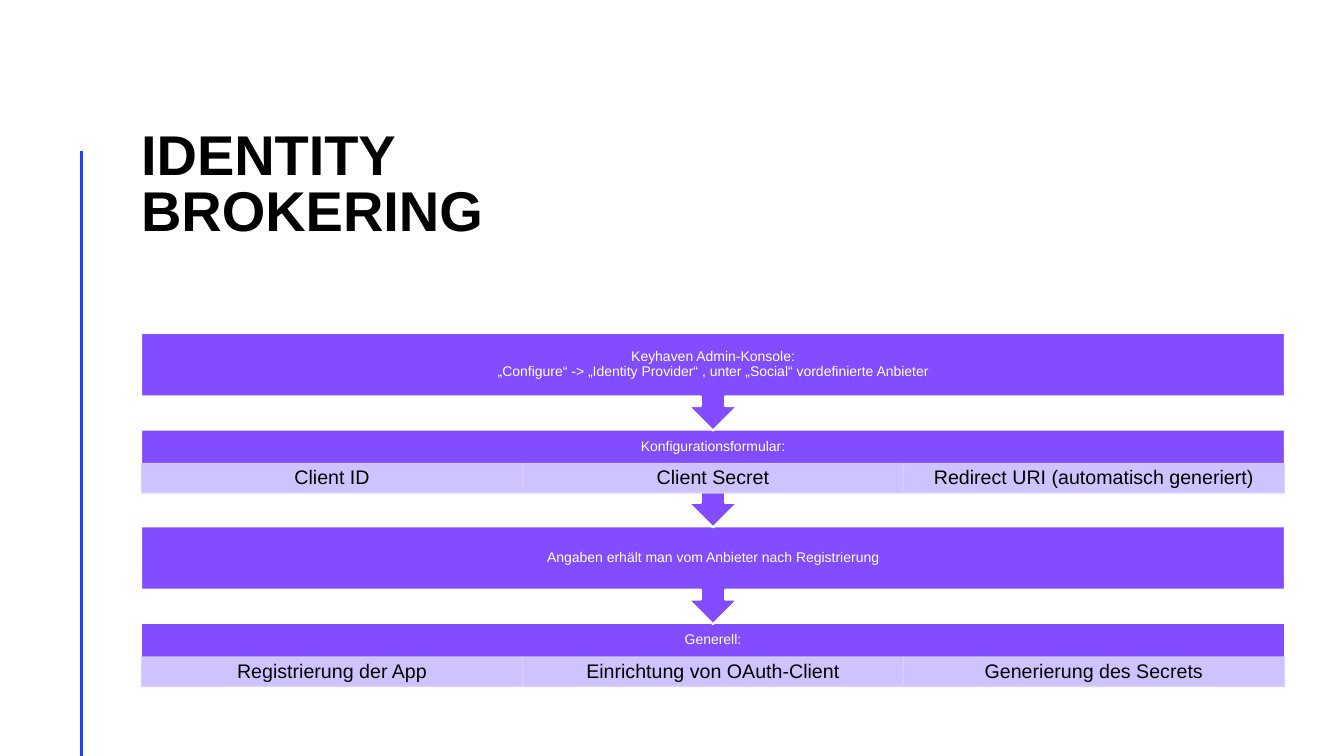
from lxml import etree
from pptx import Presentation
from pptx.dml.color import RGBColor
from pptx.enum.shapes import MSO_CONNECTOR, MSO_SHAPE
from pptx.enum.text import MSO_ANCHOR, PP_ALIGN
from pptx.oxml.ns import qn
from pptx.util import Pt

RECTANGLE = MSO_SHAPE.RECTANGLE
ARROW_CALLOUT = MSO_SHAPE.DOWN_ARROW_CALLOUT
STRAIGHT = MSO_CONNECTOR.STRAIGHT
MIDDLE = MSO_ANCHOR.MIDDLE
LEFT = PP_ALIGN.LEFT
CENTER = PP_ALIGN.CENTER

TITLE_ONLY = 5
PURPLE, LILAC, BLUE = "814DFF", "D8D0FF", "2240FF"
WHITE, BLACK = "FFFFFF", "000000"

STEP_PITCH = 69.1
CALLOUT_HEIGHT = 69.8
BODY_HEIGHT = 45.4
HEADING_HEIGHT = 24.2
DETAIL_HEIGHT = 21

STEPS = [
    ("Keyhaven Admin-Konsole:\v„Configure“ -> „Identity Provider“ , "
     "unter „Social“ vordefinierte Anbieter", []),
    ("Konfigurationsformular:",
     ["Client ID", "Client Secret", "Redirect URI (automatisch generiert)"]),
    ("Angaben erhält man vom Anbieter nach Registrierung", []),
    ("Generell:",
     ["Registrierung der App", "Einrichtung von OAuth-Client", "Generierung des Secrets"]),
]


def color(hex_value):
    return RGBColor.from_string(hex_value)


def write(shape, text, size, hex_value, align, spacing, insets, bold=False):
    frame = shape.text_frame
    frame.word_wrap = True
    frame.vertical_anchor = MIDDLE
    frame.margin_left, frame.margin_top, frame.margin_right, frame.margin_bottom = map(Pt, insets)
    frame.text = text
    paragraph = frame.paragraphs[0]
    paragraph.alignment = align
    paragraph.line_spacing = spacing
    paragraph.font.name = "Arial"
    paragraph.font.size = Pt(size)
    paragraph.font.bold = bold
    paragraph.font.color.rgb = color(hex_value)


def add_block(slide, preset, box, fill, line, line_width):
    block = slide.shapes.add_shape(preset, *map(Pt, box))
    block.shadow.inherit = False
    block.fill.solid()
    block.fill.fore_color.rgb = color(fill)
    block.line.color.rgb = color(line)
    block.line.width = Pt(line_width)
    return block


def add_heading(slide, left, top, width, height):
    title = slide.shapes.title
    title.left, title.top, title.width, title.height = map(Pt, (left, top, width, height))
    write(title, "IDENTITY BROKERING", 40, BLACK, LEFT, Pt(40), (0, 0, 0, 0), bold=True)


def add_accent_line(slide, left, top, height):
    accent = slide.shapes.add_connector(STRAIGHT, Pt(left), Pt(top), Pt(left), Pt(top + height))
    accent.line.color.rgb = color(BLUE)
    accent.line.width = Pt(2)
    etree.SubElement(accent.element.spPr, qn("a:effectLst"))


def add_details(slide, details, left, top, width):
    detail_width = width / len(details)
    for column, detail in enumerate(details):
        box = (left + column * detail_width, top, detail_width, DETAIL_HEIGHT)
        cell = add_block(slide, RECTANGLE, box, LILAC, LILAC, 1)
        for tint in cell.element.spPr.iter(qn("a:srgbClr")):
            etree.SubElement(tint, qn("a:alpha"), val="90000")
        write(cell, detail, 14, BLACK, CENTER, 0.9, (8, 1.4, 8, 1.4))


def add_process(slide, left, top, width):
    last = len(STEPS) - 1
    for index in range(last, -1, -1):
        text, details = STEPS[index]
        step_top = top + index * STEP_PITCH
        preset, height = (RECTANGLE, BODY_HEIGHT) if index == last else (ARROW_CALLOUT, CALLOUT_HEIGHT)
        step = add_block(slide, preset, (left, step_top, width, height), PURPLE, WHITE, 1.5)
        below = BODY_HEIGHT - HEADING_HEIGHT if details else 0
        write(step, text, 10, WHITE, CENTER, 0.9, (5.6, 5.6, 5.6, 5.6 + below))
        if details:
            add_details(slide, details, left + 0.4, step_top + HEADING_HEIGHT, width - 0.8)


def main():
    presentation = Presentation()
    presentation.slide_width, presentation.slide_height = Pt(960), Pt(540)
    slide = presentation.slides.add_slide(presentation.slide_layouts[TITLE_ONLY])
    add_accent_line(slide, 58.5, 108, 432)
    add_heading(slide, 100.8, 50.4, 379.4, 165.6)
    add_process(slide, 100.8, 237.8, 817)
    presentation.save("out.pptx")


if __name__ == "__main__":
    main()
